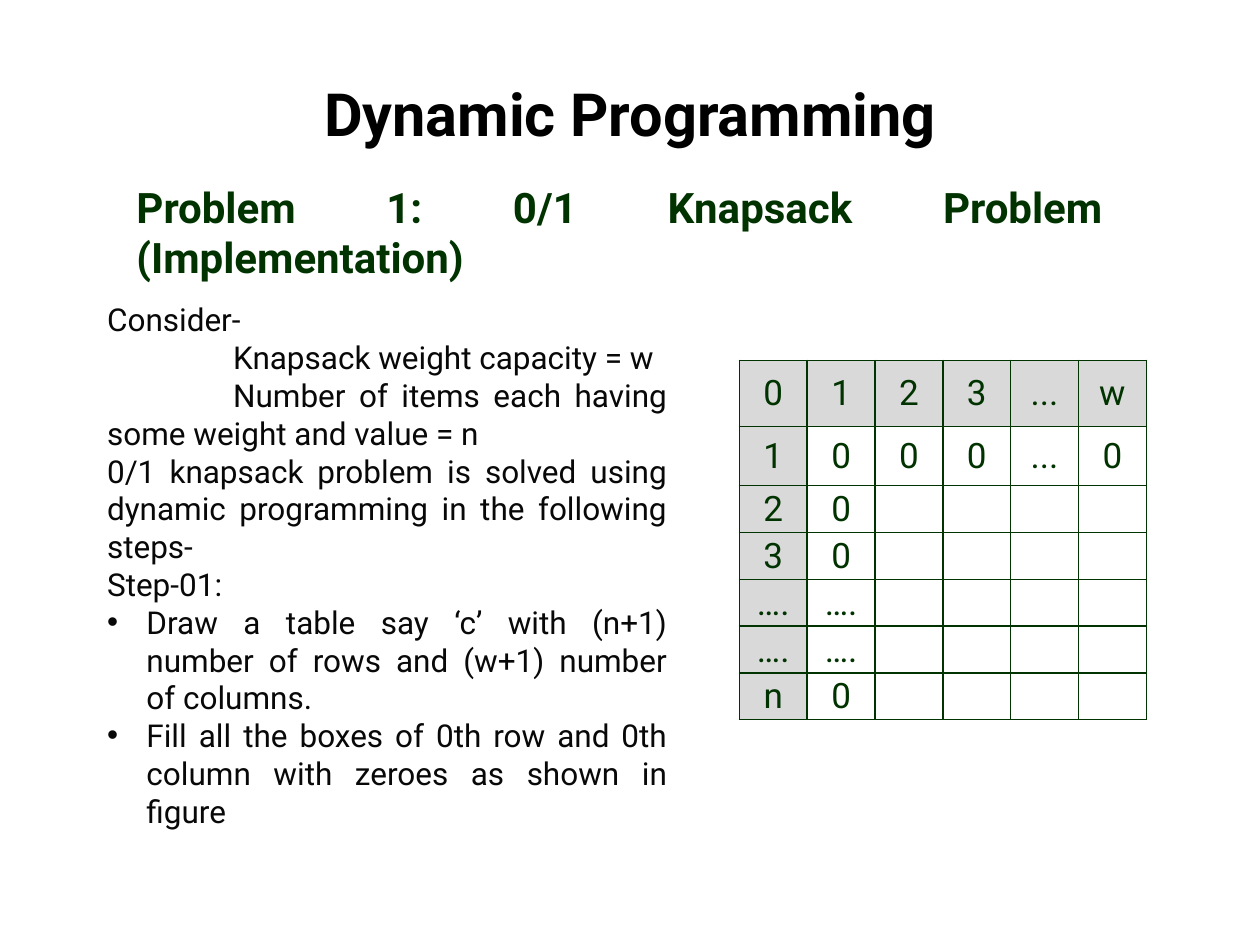
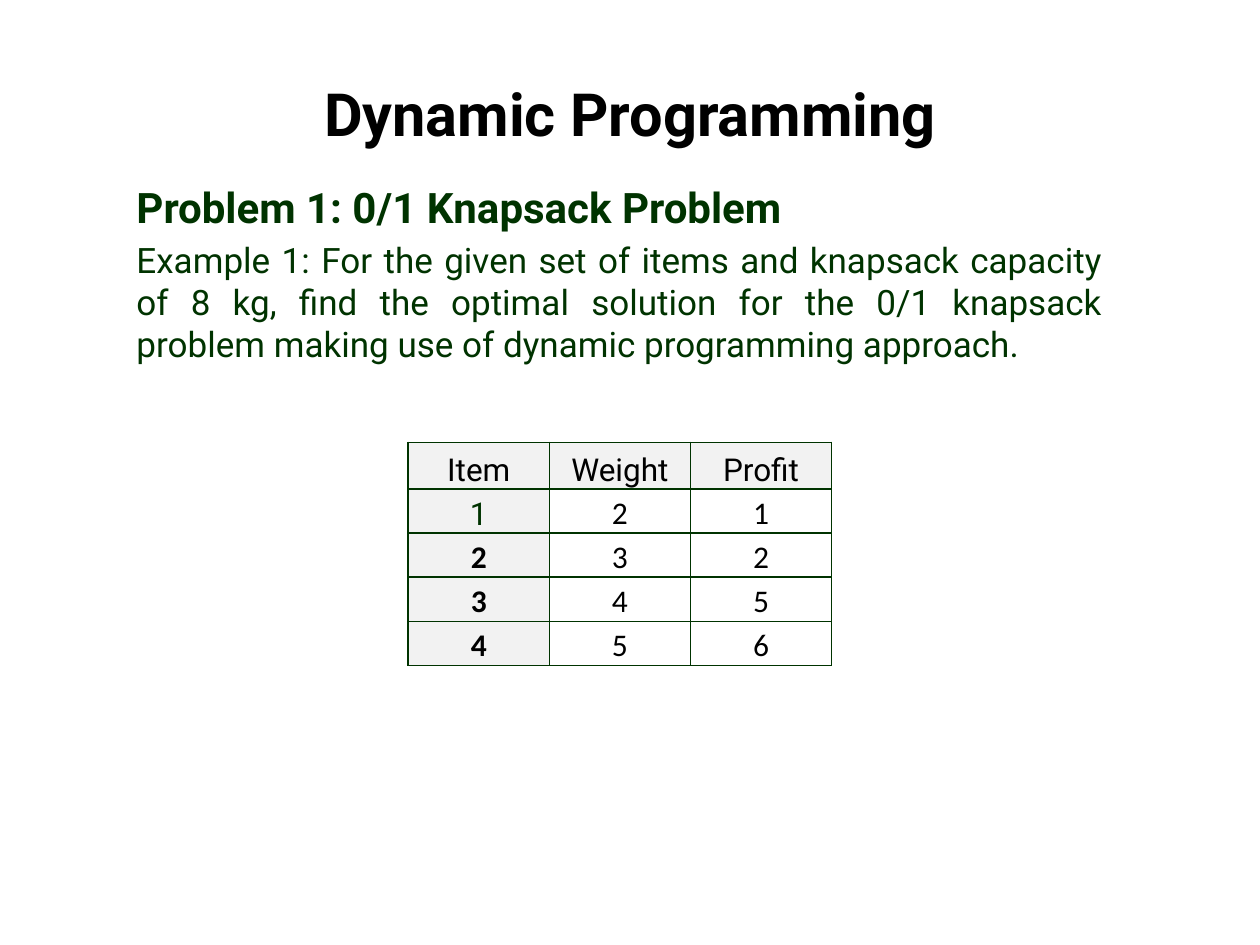
from dataclasses import dataclass
from typing import Any, Callable

import lxml.etree
import pptx
import pptx.dml.color
import pptx.enum.text
import pptx.oxml.ns
import pptx.util

Pt = pptx.util.Pt
ALIGN = pptx.enum.text.PP_ALIGN
ANCHOR = pptx.enum.text.MSO_ANCHOR
qn = pptx.oxml.ns.qn

COLORS = {
    "title": "000000",
    "green": "003300",
    "body": "080808",
    "grid_head": "D9D9D9",
    "item_head": "F2F2F2",
}
TITLE = "Dynamic Programming"
PROBLEM = "Problem 1: 0/1 Knapsack Problem"
BULLET_INDENT = 22.5
FIRST_LINE_INDENT = 72
TWO_CONTENT, TITLE_AND_CONTENT = 3, 1


@dataclass(frozen=True)
class Area:
    left: float
    top: float
    width: float
    height: float


@dataclass(frozen=True)
class Grid:
    left: float
    top: float
    column_width: float
    row_heights: list[float]
    rows: list[list[str]]
    head_fill: str
    anchor: Any
    style: Callable[[int, int], dict[str, Any]]


def rgb(name: str) -> pptx.dml.color.RGBColor:
    return pptx.dml.color.RGBColor.from_string(COLORS[name])


def write(para: Any, text: str, *, size: float, color: str, bold: bool = False,
          font: str = "Roboto", align: Any = ALIGN.JUSTIFY, before: float = 0,
          margin: float = 0, indent: float = 0, bullet: str = "") -> None:
    """Fill a paragraph with one formatted run."""
    props = para._p.get_or_add_pPr()
    props.set("marL", str(Pt(margin)))
    props.set("indent", str(Pt(indent)))
    if bullet:
        lxml.etree.SubElement(props, qn("a:buFont"), typeface="Arial")
        lxml.etree.SubElement(props, qn("a:buChar"), char=bullet)
    else:
        lxml.etree.SubElement(props, qn("a:buNone"))
    para.alignment = align
    para.space_before = Pt(before)
    span = para.add_run()
    span.text = text
    span.font.name = font
    span.font.size = Pt(size)
    span.font.bold = bold
    span.font.color.rgb = rgb(color)


def fill_box(box: Any, area: Area, lines: list[tuple[str, dict[str, Any]]]) -> None:
    """Move a placeholder to its area and write one paragraph per line."""
    box.left, box.top = Pt(area.left), Pt(area.top)
    box.width, box.height = Pt(area.width), Pt(area.height)
    frame = box.text_frame
    frame.word_wrap = True
    frame.auto_size = pptx.enum.text.MSO_AUTO_SIZE.NONE
    for index, (text, style) in enumerate(lines):
        para = frame.add_paragraph() if index else frame.paragraphs[0]
        write(para, text, **style)


def add_borders(cell: Any) -> None:
    props = cell._tc.get_or_add_tcPr()
    for side in ("lnL", "lnR", "lnT", "lnB"):
        line = lxml.etree.SubElement(props, qn(f"a:{side}"), w=str(Pt(1)))
        paint = lxml.etree.SubElement(line, qn("a:solidFill"))
        lxml.etree.SubElement(paint, qn("a:srgbClr"), val=COLORS["green"])


def draw_grid(slide: Any, grid: Grid) -> None:
    """Draw a table whose first row and first column are shaded."""
    columns = len(grid.rows[0])
    table = slide.shapes.add_table(
        len(grid.rows), columns, Pt(grid.left), Pt(grid.top),
        Pt(grid.column_width * columns), Pt(sum(grid.row_heights))).table
    table.first_row = table.horz_banding = False
    for column in table.columns:
        column.width = Pt(grid.column_width)
    for row, (height, texts) in enumerate(zip(grid.row_heights, grid.rows)):
        table.rows[row].height = Pt(height)
        for column, text in enumerate(texts):
            cell = table.cell(row, column)
            cell.margin_left = cell.margin_right = cell.margin_top = Pt(0.72)
            cell.margin_bottom = 0
            cell.vertical_anchor = grid.anchor
            add_borders(cell)
            if row == 0 or column == 0:
                cell.fill.solid()
                cell.fill.fore_color.rgb = rgb(grid.head_fill)
            else:
                cell.fill.background()
            if text:
                write(cell.text_frame.paragraphs[0], text, align=ALIGN.CENTER,
                      **grid.style(row, column))


def start_slide(deck: Any, layout: int) -> Any:
    slide = deck.slides.add_slide(deck.slide_layouts[layout])
    style = dict(size=34, color="title", bold=True, align=ALIGN.CENTER)
    fill_box(slide.shapes.title, Area(36, 36, 648, 57), [(TITLE, style)])
    slide.shapes.title.text_frame.vertical_anchor = ANCHOR.MIDDLE
    return slide


def knapsack_style(row: int, column: int) -> dict[str, Any]:
    return dict(size=20, color="green")


def item_style(row: int, column: int) -> dict[str, Any]:
    if row == 0:
        return dict(size=18, color="title")
    if (row, column) == (1, 0):
        return dict(size=18, color="green")
    return dict(size=18, color="title", font="Calibri", bold=column == 0)


HEADING = dict(size=24, color="green", bold=True)
EXAMPLE = dict(size=20, color="green", before=4)
PLAIN = dict(size=18, color="body")
INDENTED = PLAIN | dict(indent=FIRST_LINE_INDENT)
BULLETED = PLAIN | dict(margin=BULLET_INDENT, indent=-BULLET_INDENT, bullet="•")

STEPS = [
    ("Consider-", PLAIN),
    ("Knapsack weight capacity = w", INDENTED),
    ("Number of items each having some weight and value = n", INDENTED),
    ("0/1 knapsack problem is solved using dynamic programming in the following steps-", PLAIN),
    ("Step-01:", PLAIN),
    ("Draw a table say ‘c’ with (n+1) number of rows and (w+1) number of columns.", BULLETED),
    ("Fill all the boxes of 0th row and 0th column with zeroes as shown in figure", BULLETED),
]
EXAMPLE_TEXT = (
    "Example 1: For the given set of items and knapsack capacity of 8 kg, find the optimal "
    "solution for the 0/1 knapsack problem making use of dynamic programming approach."
)
KNAPSACK_GRID = Grid(
    422.5, 206, 38.75, [37.6, 34] + [26.75] * 5,
    [["0", "1", "2", "3", "...", "w"], ["1", "0", "0", "0", "...", "0"]]
    + [[label, value] + [""] * 4 for label, value in
       [("2", "0"), ("3", "0"), ("….", "…."), ("….", "…."), ("n", "0")]],
    "grid_head", ANCHOR.MIDDLE, knapsack_style)
ITEM_GRID = Grid(
    233.25, 252.75, 80.65, [26.6] + [25.25] * 4,
    [["Item", "Weight", "Profit"], ["1", "2", "1"], ["2", "3", "2"],
     ["3", "4", "5"], ["4", "5", "6"]],
    "item_head", ANCHOR.BOTTOM, item_style)


def main() -> None:
    deck = pptx.Presentation()
    deck.slide_width, deck.slide_height = Pt(720), Pt(540)

    steps_slide = start_slide(deck, TWO_CONTENT)
    fill_box(steps_slide.placeholders[1], Area(70.75, 100, 566.5, 102),
             [(f"{PROBLEM} (Implementation)", HEADING)])
    fill_box(steps_slide.placeholders[2], Area(54, 168, 334.5, 334), STEPS)
    draw_grid(steps_slide, KNAPSACK_GRID)

    example_slide = start_slide(deck, TITLE_AND_CONTENT)
    fill_box(example_slide.placeholders[1], Area(70.75, 100, 566.5, 361),
             [(PROBLEM, HEADING), (EXAMPLE_TEXT, EXAMPLE)])
    draw_grid(example_slide, ITEM_GRID)

    deck.save("out.pptx")


if __name__ == "__main__":
    main()
